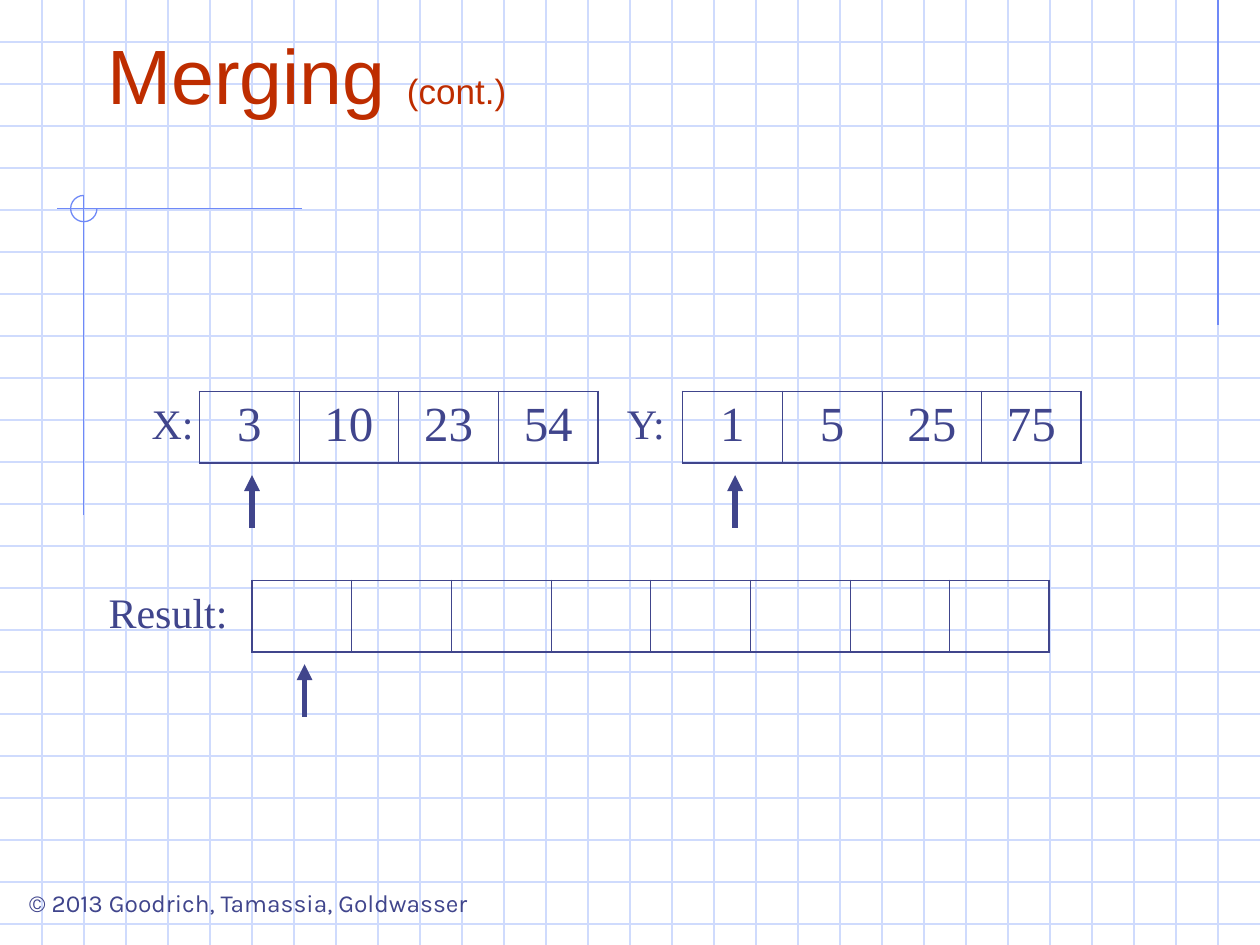
from collections import namedtuple
from dataclasses import dataclass

from lxml.etree import SubElement
from pptx import Presentation
from pptx.dml.color import RGBColor
from pptx.enum.shapes import MSO_CONNECTOR as Connector, MSO_SHAPE as Shape
from pptx.enum.text import MSO_ANCHOR as Anchor, PP_ALIGN as Align
from pptx.oxml.ns import qn
from pptx.util import Cm, Pt

Box = namedtuple("Box", "left top width height")


@dataclass(frozen=True)
class Theme:
    ink: str = "40458C"
    heading: str = "BE2D00"
    rule: str = "CFDBFD"
    accent: str = "6F89F7"
    title_size: int = 44
    suffix_size: int = 20
    value_size: int = 28
    label_size: int = 24
    footer_size: int = 14
    title_font: str = "Arial"
    body_font: str = "Times New Roman"
    footer_font: str = "Karla"
    thin: float = 0.75
    arrow: float = 3
    inner_border: float = 0.45
    outer_border: float = 1.08


THEME = Theme()
PAGE = Box(0, 0, 25.4, 19.05)
CELL_WIDTH, CELL_HEIGHT = 2.01, 1.45


def apply(target, values):
    for name, value in values.items():
        setattr(target, name, value)


def write(paragraph, text, size, font, color, **layout):
    run = paragraph.add_run()
    run.text = text
    apply(run.font, {"size": Pt(size), "name": font})
    run.font.color.rgb = RGBColor.from_string(color)
    apply(paragraph, layout)


def add_frame(slide, box, **settings):
    frame = slide.shapes.add_textbox(*map(Cm, box)).text_frame
    apply(frame, {"word_wrap": True, **settings})
    return frame


def add_line(slide, start, end, color, width):
    line = slide.shapes.add_connector(Connector.STRAIGHT, *map(Cm, start + end))
    line.line.color.rgb = RGBColor.from_string(color)
    line.line.width = Pt(width)
    SubElement(line.element.spPr, qn("a:effectLst"))
    return line


def add_grid_paper(slide, box, columns=30):
    step = box.width / columns
    right, bottom = box.left + box.width, box.top + box.height
    for row in range(1, int(box.height / step) + 1):
        y = box.top + row * step
        add_line(slide, (box.left, y), (right, y), THEME.rule, THEME.thin)
    for column in range(1, columns):
        x = box.left + column * step
        add_line(slide, (x, box.top), (x, bottom), THEME.rule, THEME.thin)
    margin = right - step
    add_line(slide, (margin, box.top), (margin, box.top + 6.56), THEME.accent, THEME.thin)


def add_corner_mark(slide, box, diameter=0.53):
    x, y = box.left + 0.55, box.top + diameter / 2
    add_line(slide, (box.left + box.width, y), (box.left, y), THEME.accent, THEME.thin)
    add_line(slide, (x, box.top), (x, box.top + box.height), THEME.accent, THEME.thin)
    ring = slide.shapes.add_shape(
        Shape.ARC, Cm(x - diameter / 2), Cm(box.top), Cm(diameter), Cm(diameter))
    ring.adjustments[0], ring.adjustments[1] = 0, 162
    ring.shadow.inherit = False
    ring.fill.background()
    ring.line.color.rgb = RGBColor.from_string(THEME.accent)
    ring.line.width = Pt(THEME.thin)


def add_title(slide, box):
    heading = add_frame(slide, box, vertical_anchor=Anchor.BOTTOM).paragraphs[0]
    for text, size in (("Merging ", THEME.title_size), ("(cont.)", THEME.suffix_size)):
        write(heading, text, size, THEME.title_font, THEME.heading)


def add_footer(slide, box):
    credit = add_frame(slide, box, word_wrap=False).paragraphs[0]
    write(credit, "© 2013 Goodrich, Tamassia, Goldwasser", THEME.footer_size,
          THEME.footer_font, THEME.ink, alignment=Align.CENTER)


def set_borders(cell, outer_sides):
    properties = cell._tc.get_or_add_tcPr()
    for side in "LRTB":
        width = THEME.outer_border if side in outer_sides else THEME.inner_border
        border = SubElement(properties, qn(f"a:ln{side}"), w=str(Pt(width)))
        SubElement(SubElement(border, qn("a:solidFill")), qn("a:srgbClr"), val=THEME.ink)


def add_cells(slide, box, values):
    count = len(values)
    table = slide.shapes.add_table(1, count, *map(Cm, box)).table
    apply(table, {"first_row": False, "horz_banding": False})
    for index, value in enumerate(values):
        table.columns[index].width = Cm(box.width / count)
        cell = table.cell(0, index)
        set_borders(cell, "TB" + "L" * (index == 0) + "R" * (index == count - 1))
        cell.fill.background()
        if value:
            write(cell.text_frame.paragraphs[0], value, THEME.value_size,
                  THEME.body_font, THEME.ink, alignment=Align.CENTER, space_before=Pt(7))


def add_pointer(slide, box):
    pointer = add_line(slide, (box.left, box.top + box.height), (box.left, box.top),
                       THEME.ink, THEME.arrow)
    SubElement(pointer.line._get_or_add_ln(), qn("a:tailEnd"), type="triangle")


def add_array(slide, box, label, label_width, values):
    cells_width = CELL_WIDTH * len(values)
    cells_left = box.left + box.width - cells_width
    add_cells(slide, Box(cells_left, box.top, cells_width, CELL_HEIGHT), values)
    add_pointer(slide, Box(cells_left + 1.06, box.top + 1.69, 0, box.height - 1.69))
    caption = add_frame(slide, Box(box.left, box.top, label_width, 1.27)).paragraphs[0]
    write(caption, label, THEME.label_size, THEME.body_font, THEME.ink,
          alignment=Align.CENTER, space_before=Pt(15))


def main():
    deck = Presentation()
    apply(deck, {"slide_width": Cm(PAGE.width), "slide_height": Cm(PAGE.height)})
    slide = deck.slides.add_slide(deck.slide_layouts[6])
    add_grid_paper(slide, PAGE)
    add_corner_mark(slide, Box(1.14, 3.94, 4.95, 6.45))
    add_footer(slide, Box(0.08, 17.78, 9.86, 0.86))
    add_title(slide, Box(1.91, 0.42, 21.59, 2.12))
    add_array(slide, Box(2.74, 7.89, 9.32, 2.75), "X:", 1.48, ["3", "10", "23", "54"])
    add_array(slide, Box(12.28, 7.89, 9.52, 2.75), "Y:", 1.48, ["1", "5", "25", "75"])
    add_array(slide, Box(1.91, 11.7, 19.25, 2.75), "Result:", 2.96, [""] * 8)
    deck.save("out.pptx")


if __name__ == "__main__":
    main()
